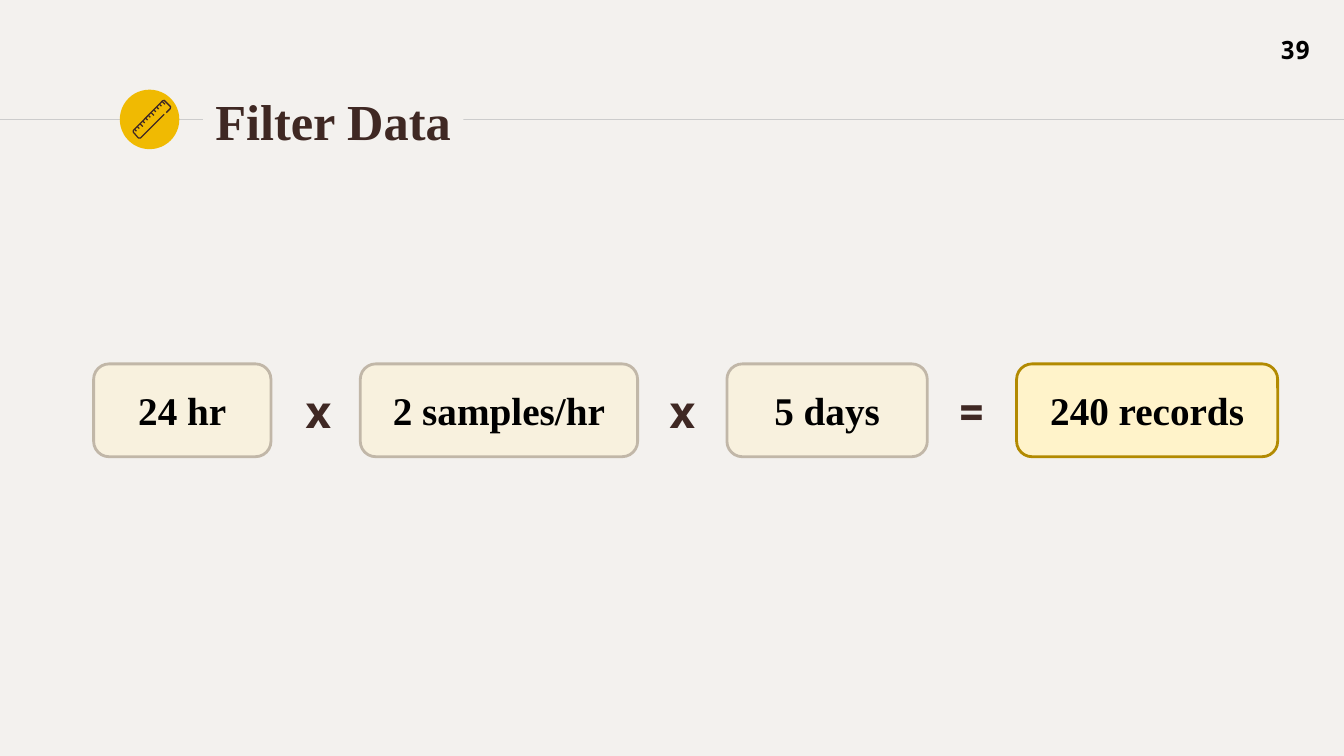
from dataclasses import dataclass

from lxml.etree import SubElement as sub
from pptx import Presentation
from pptx.dml.color import RGBColor as RGB
from pptx.enum.shapes import MSO_CONNECTOR as LINE, MSO_SHAPE as SHAPE
from pptx.enum.text import MSO_ANCHOR as ANCHOR, PP_ALIGN as ALIGN
from pptx.oxml.ns import qn
from pptx.util import Cm, Pt


@dataclass(frozen=True)
class Theme:
    """Colours, fonts and type sizes."""
    paper: str = "F3F1EE"
    rule: str = "CCCCCC"
    gold: str = "F0BA02"
    brown: str = "3F2823"
    black: str = "000000"
    cream: str = "FFF3CA"
    factor_edge: str = "C1B7A8"
    result_edge: str = "B28A01"
    serif: str = "Times New Roman"
    mono: str = "Noto Sans Mono"
    title: int = 36
    operator: int = 32
    term: int = 28
    number: int = 18


class Page:
    """Draws styled elements on one slide; lengths are centimetres."""

    def __init__(self, deck, theme):
        """Add a blank slide with the theme background."""
        self.theme = theme
        self.slide = deck.slides.add_slide(deck.slide_layouts[6])
        self.shapes = self.slide.shapes
        self.paint(self.slide.background.fill, theme.paper)

    def paint(self, fill, color, alpha=None):
        """Set a solid fill, with an optional opacity in percent."""
        fill.solid()
        fill.fore_color.rgb = RGB.from_string(color)
        if alpha is not None:
            tint = fill._xPr.find(qn("a:solidFill"))[0]
            sub(tint, qn("a:alpha"), val=str(alpha * 1000))

    def stroke(self, shape, color, width):
        """Set the colour and width of a line."""
        shape.line.color.rgb = RGB.from_string(color)
        shape.line.width = Pt(width)

    def set_text(self, shape, text, size, font, color, align=ALIGN.CENTER):
        """Put one bold line of text in a shape."""
        frame = shape.text_frame
        frame.word_wrap = True
        frame.vertical_anchor = ANCHOR.MIDDLE
        para = frame.paragraphs[0]
        para.alignment = align
        span = para.add_run()
        span.text = text
        looks = {"size": Pt(size), "name": font, "bold": True}
        for name, value in looks.items():
            setattr(span.font, name, value)
        span.font.color.rgb = RGB.from_string(color)

    def rule(self, start, end, y):
        """Draw a thin horizontal line."""
        line = self.shapes.add_connector(LINE.STRAIGHT, Cm(start), Cm(y), Cm(end), Cm(y))
        self.stroke(line, self.theme.rule, 0.75)
        sub(line._element.spPr, qn("a:effectLst"))

    def label(self, place, text, size, font, color, align=ALIGN.CENTER):
        """Add a text box."""
        box = self.shapes.add_textbox(*map(Cm, place))
        self.set_text(box, text, size, font, color, align)
        return box

    def title(self, place, text):
        """Add the heading, which masks the rule behind it."""
        box = self.label(place, text, self.theme.title, self.theme.serif,
                         self.theme.brown, ALIGN.LEFT)
        self.paint(box.fill, self.theme.paper)
        for side in ("left", "top", "right", "bottom"):
            setattr(box.text_frame, f"margin_{side}", Cm(0.25))

    def term(self, place, text, edge, alpha=None):
        """Add a rounded box holding one term of the equation."""
        box = self.shapes.add_shape(SHAPE.ROUNDED_RECTANGLE, *map(Cm, place))
        box.shadow.inherit = False
        self.paint(box.fill, self.theme.cream, alpha)
        self.stroke(box, edge, 2)
        self.set_text(box, text, self.theme.term, self.theme.serif, self.theme.black)

    def disc(self, left, top, size):
        """Add the gold circle behind the icon."""
        disc = self.shapes.add_shape(SHAPE.OVAL, Cm(left), Cm(top), Cm(size), Cm(size))
        disc.shadow.inherit = False
        self.paint(disc.fill, self.theme.gold)
        disc.line.fill.background()

    def ruler(self):
        """Draw the ruler icon: an open outline and eleven ticks."""
        outline = [(4.19, 2.84), (4.29, 2.74), (4.3, 2.69), (4.14, 2.53), (4.1, 2.54),
                   (3.36, 3.29), (3.36, 3.33), (3.49, 3.48), (3.54, 3.48), (4.14, 2.88)]
        strokes = [outline]
        for index in range(11):
            x, y = 3.39 + 0.07 * index, 3.26 - 0.07 * index
            length = 0.07 if index % 4 == 2 else 0.05
            strokes.append([(x, y), (x + length, y + length)])
        curves = [[(Cm(x), Cm(y)) for x, y in points] for points in strokes]
        builder = self.shapes.build_freeform(*curves[0][0])
        for curve in curves:
            builder.move_to(*curve[0])
            builder.add_line_segments(curve[1:], close=False)
        icon = builder.convert_to_shape()
        icon.shadow.inherit = False
        icon.fill.background()
        self.stroke(icon, self.theme.brown, 0.9)


def main():
    """Build and save the deck."""
    deck = Presentation()
    deck.slide_width, deck.slide_height = Cm(33.87), Cm(19.05)
    theme = Theme()
    page = Page(deck, theme)

    page.rule(0, 5.11, 3.02)
    page.disc(3.02, 2.26, 1.5)
    page.rule(7.04, 33.87, 3.02)
    page.title((5.18, 2.21, 6.5, 1.63), "Filter Data")

    left, gap = 2.36, 2.25
    terms = [("24 hr", 4.47), ("2 samples/hr", 6.99), ("5 days", 5.05), ("240 records", 6.58)]
    for text, width in terms:
        result = text == "240 records"
        page.term((left, 9.17, width, 2.34), text,
                  theme.result_edge if result else theme.factor_edge,
                  None if result else 43)
        left += width + gap

    for sign, start in (("x", 7.01), ("x", 16.18), ("=", 23.47)):
        page.label((start, 9.4, 2.03, 1.9), sign, theme.operator, theme.mono, theme.brown)

    page.ruler()
    page.label((31.75, 0.84, 1.78, 0.79), "39", theme.number, theme.mono, theme.black)
    deck.save("out.pptx")


if __name__ == "__main__":
    main()
